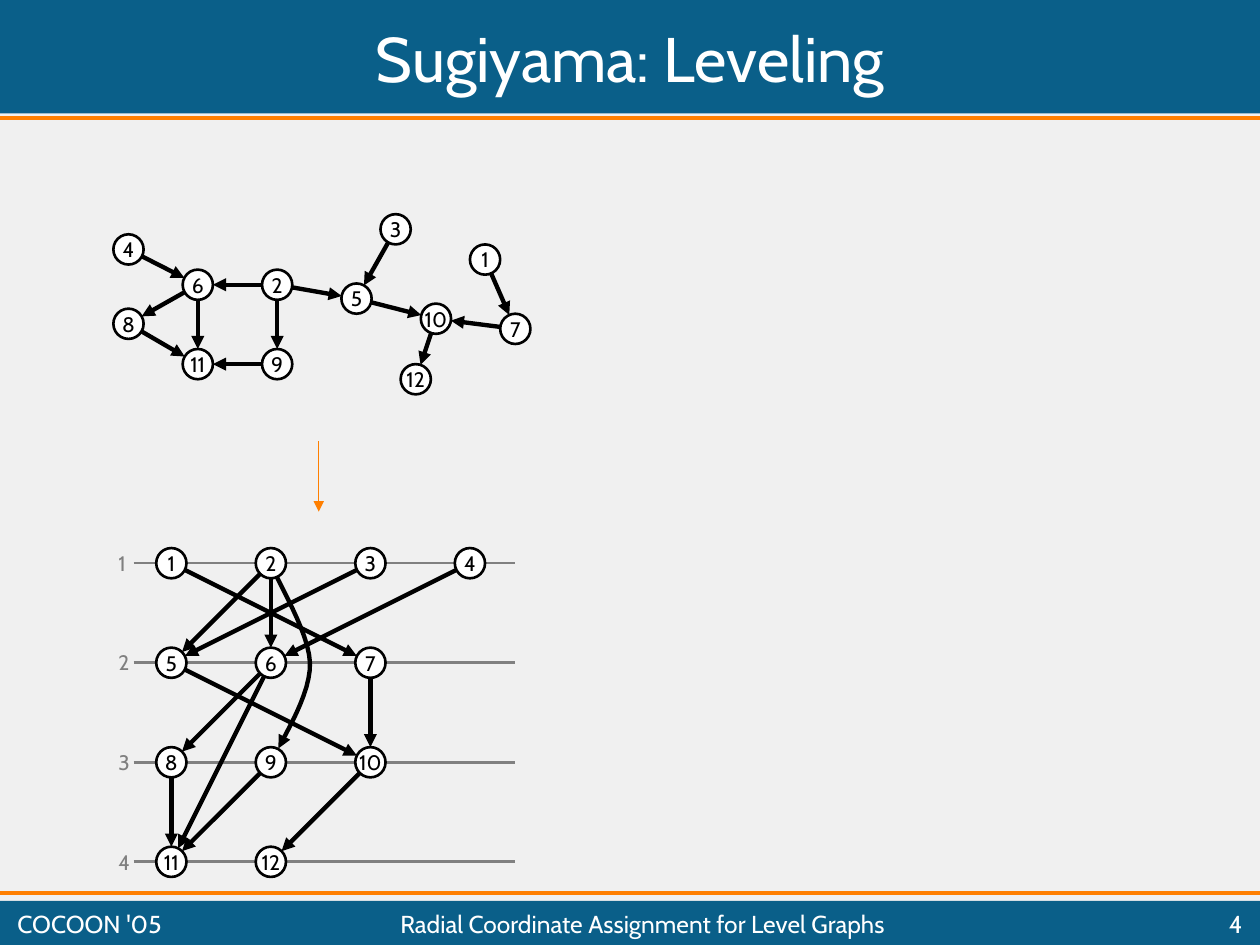
import math

from lxml import etree
from pptx import Presentation, util as u
from pptx.dml.color import RGBColor
from pptx.enum import shapes, text
from pptx.oxml import ns

WIDTH, HEIGHT = 10, 7.5
FONT = "Cabin"
BLUE = RGBColor(0x0A, 0x5F, 0x89)
ORANGE = RGBColor(0xFF, 0x7F, 0x00)
PALE = RGBColor(0xF0, 0xF0, 0xF0)
GRAY = RGBColor(0x80, 0x80, 0x80)
WHITE = RGBColor(0xFF, 0xFF, 0xFF)
BLACK = RGBColor(0x00, 0x00, 0x00)

RADIUS = 0.12
STEP = 0.79  # distance between levels and between columns

# Node centres of the free layout, relative to its box
FREE_NODES = {
    1: (2.95, 0.36), 2: (1.3, 0.56), 3: (2.24, 0.12), 4: (0.12, 0.28),
    5: (1.93, 0.67), 6: (0.67, 0.56), 7: (3.19, 0.91), 8: (0.12, 0.87),
    9: (1.3, 1.19), 10: (2.56, 0.83), 11: (0.67, 1.19), 12: (2.4, 1.31),
}
LEVELS = [(1, 2, 3, 4), (5, 6, 7), (8, 9, 10), (11, 12)]
EDGES = [(1, 7), (2, 5), (2, 6), (3, 5), (4, 6), (5, 10), (6, 8), (6, 11),
         (7, 10), (8, 11), (9, 11), (10, 12)]
LONG_EDGE = (2, 9)  # spans two levels


def write(frame, words, size=12, color=BLACK, align=text.PP_ALIGN.LEFT,
          anchor=text.MSO_ANCHOR.MIDDLE, wrap=True):
    frame.word_wrap = wrap
    frame.vertical_anchor = anchor
    para = frame.paragraphs[0]
    para.alignment = align
    span = para.add_run()
    span.text = words
    span.font.name, span.font.size = FONT, u.Pt(size)
    span.font.color.rgb = color


def add_label(page, box, words, **style):
    label = page.shapes.add_textbox(*map(u.Inches, box))
    write(label.text_frame, words, **style)


def style_line(shape, color, width, arrow=False):
    shape.line.color.rgb = color
    shape.line.width = u.Pt(width)
    if arrow:
        outline = shape.element.spPr.find(ns.qn("a:ln"))
        etree.SubElement(outline, ns.qn("a:tailEnd"), type="triangle")


def add_line(page, start, end, color, width, arrow=False):
    line = page.shapes.add_connector(
        shapes.MSO_CONNECTOR.STRAIGHT, *map(u.Inches, (*start, *end)))
    style_line(line, color, width, arrow)
    etree.SubElement(line.element.spPr, ns.qn("a:effectLst"))


def add_edge(page, start, end):
    """Arrow from a node's centre to the rim of another node."""
    share = 1 - RADIUS / math.dist(start, end)
    rim = [a + (b - a) * share for a, b in zip(start, end)]
    add_line(page, start, rim, BLACK, 2.5, arrow=True)


def add_nodes(page, centres):
    for number, (x, y) in centres.items():
        box = (x - RADIUS, y - RADIUS, 2 * RADIUS, 2 * RADIUS)
        node = page.shapes.add_shape(
            shapes.MSO_SHAPE.OVAL, *map(u.Inches, box))
        node.shadow.inherit = False
        node.fill.solid()
        node.fill.fore_color.rgb = WHITE
        style_line(node, BLACK, 1.5)
        write(node.text_frame, str(number), align=text.PP_ALIGN.CENTER,
              wrap=False)


def bezier(a, b, c, d, steps=12):
    for i in range(1, steps + 1):
        t = i / steps
        weights = ((1 - t) ** 3, 3 * t * (1 - t) ** 2,
                   3 * t * t * (1 - t), t ** 3)
        yield tuple(u.Inches(sum(w * p for w, p in zip(weights, axis)))
                    for axis in zip(a, b, c, d))


def add_curve(page, start):
    """Bowed arrow that leads a long edge past the level between."""
    x, y = start
    bend = (x + 0.31, y + STEP)
    end = (x + 0.06, y + 1.47)
    points = [
        *bezier(start, (x + 0.06, y + 0.17), (x + 0.3, y + 0.54), bend),
        *bezier(bend, (x + 0.32, y + 1.03), (x + 0.11, y + 1.36), end),
    ]
    builder = page.shapes.build_freeform(*map(u.Inches, start), scale=1.0)
    builder.add_line_segments(points, close=False)
    curve = builder.convert_to_shape()
    curve.shadow.inherit = False
    curve.fill.background()
    style_line(curve, BLACK, 2.5, arrow=True)


def add_free_graph(page, left, top):
    centres = {n: (left + x, top + y) for n, (x, y) in FREE_NODES.items()}
    for source, target in [*EDGES, LONG_EDGE]:
        add_edge(page, centres[source], centres[target])
    add_nodes(page, centres)


def add_level_graph(page, left, top, width):
    centres = {}
    for row, level in enumerate(LEVELS):
        y = top + RADIUS + row * STEP
        add_line(page, (left + 0.22, y), (left + width, y), GRAY, 1.5)
        add_label(page, (left, y - 0.15, 0.29, 0.3), str(row + 1),
                  color=GRAY, anchor=text.MSO_ANCHOR.TOP, wrap=False)
        for column, number in enumerate(level):
            centres[number] = (left + 0.52 + column * STEP, y)
    for source, target in EDGES:
        add_edge(page, centres[source], centres[target])
    add_curve(page, centres[LONG_EDGE[0]])
    add_nodes(page, centres)


def add_band(page, top, height, rule):
    band = page.shapes.add_shape(
        shapes.MSO_SHAPE.RECTANGLE, *map(u.Inches, (0, top, WIDTH, height)))
    band.shadow.inherit = False
    band.fill.solid()
    band.fill.fore_color.rgb = BLUE
    band.line.fill.background()
    add_line(page, (0, rule), (WIDTH, rule), ORANGE, 2.25)


def add_header(page, height):
    add_band(page, 0, height, height + 0.04)
    title = page.shapes.title
    title.element.getparent().append(title.element)  # in front of the band
    title.left, title.top, title.width, title.height = map(
        u.Inches, (0.04, 0.04, WIDTH - 0.08, height - 0.07))
    write(title.text_frame, "Sugiyama: Leveling", size=36, color=WHITE,
          align=text.PP_ALIGN.CENTER)


def add_footer(page, height):
    top = HEIGHT - height
    add_band(page, top, height, top - 0.06)
    for left, width, words, align in (
        (0.04, 1.44, "COCOON '05", text.PP_ALIGN.LEFT),
        (1.5, 7.2, "Radial Coordinate Assignment for Level Graphs",
         text.PP_ALIGN.CENTER),
        (8.78, 1.18, "4", text.PP_ALIGN.RIGHT),
    ):
        add_label(page, (left, top + 0.04, width, 0.28), words, size=14,
                  color=WHITE, align=align)


def main():
    deck = Presentation()
    deck.slide_width, deck.slide_height = u.Inches(WIDTH), u.Inches(HEIGHT)
    page = deck.slides.add_slide(deck.slide_layouts.get_by_name("Title Only"))
    page.background.fill.solid()
    page.background.fill.fore_color.rgb = PALE

    add_header(page, 0.9)
    add_free_graph(page, 0.9, 1.7)
    add_line(page, (2.53, 3.5), (2.53, 4.06), ORANGE, 0.75, arrow=True)
    add_level_graph(page, 0.84, 4.35, 3.25)
    add_footer(page, 0.35)
    deck.save("out.pptx")


if __name__ == "__main__":
    main()
